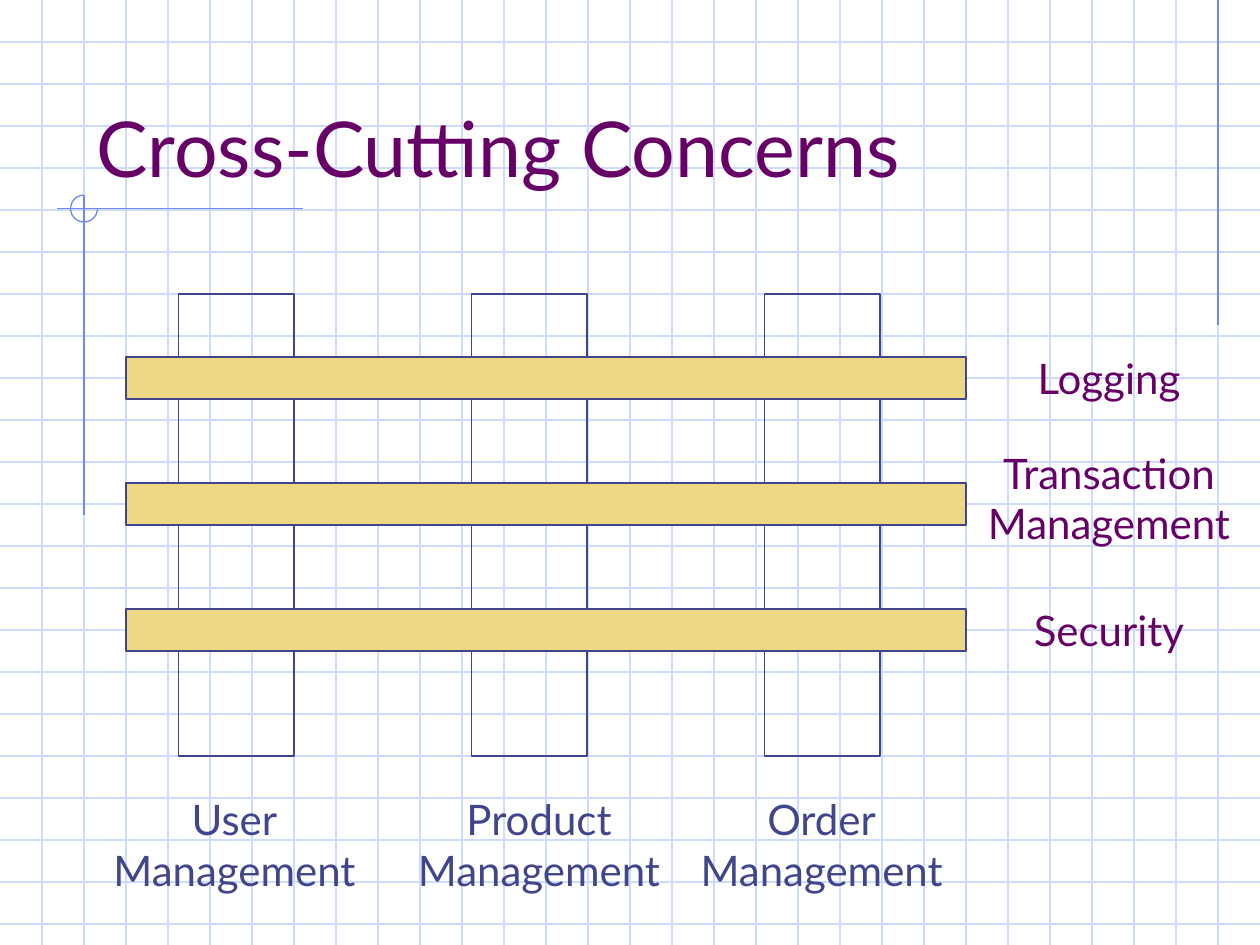
"""Build the slide on cross-cutting concerns."""
from pptx import Presentation as Deck
from pptx.dml.color import RGBColor as RGB
from pptx.enum.shapes import MSO_CONNECTOR as Link, MSO_SHAPE as Kind
from pptx.enum.text import MSO_ANCHOR as Anchor, MSO_AUTO_SIZE as Fit, PP_ALIGN as Align
from pptx.oxml.ns import qn
from pptx.util import Pt
from lxml.etree import SubElement as Sub

PALE = RGB(0xCF, 0xDB, 0xFD)
BLUE = RGB(0x6F, 0x89, 0xF7)
NAVY = RGB(0x40, 0x45, 0x8C)
PLUM = RGB(0x66, 0x00, 0x66)
GOLD = RGB(0xEC, 0xD8, 0x82)
WIDE, HIGH, STEP = 720, 540, 24


class Page:
    font = "Lato"
    thin = 0.75
    label = {"word_wrap": False, "auto_size": Fit.SHAPE_TO_FIT_TEXT}
    head = {"word_wrap": True, "auto_size": Fit.NONE, "vertical_anchor": Anchor.BOTTOM}

    def __init__(self, slide):
        self.slide = slide
        self.shapes = slide.shapes

    def apply(self, item, form):
        for name, value in form.items():
            setattr(item, name, value)

    def stroke(self, shape, color):
        shape.line.color.rgb = color
        shape.line.width = Pt(self.thin)

    def letter(self, frame, text, size, color, align):
        frame.text = text
        for para in frame.paragraphs:
            para.alignment = align
            for run in para.runs:
                self.apply(run.font, {"name": self.font, "size": Pt(size)})
                run.font.color.rgb = color

    def title(self, text, left, top, width, height):
        shape = self.shapes.title
        box = {"left": left, "top": top, "width": width, "height": height}
        self.apply(shape, {name: Pt(value) for name, value in box.items()})
        self.apply(shape.text_frame, self.head)
        self.letter(shape.text_frame, text, 44, PLUM, Align.LEFT)
        shape.element.getparent().append(shape.element)

    def line(self, color, *ends):
        link = self.shapes.add_connector(Link.STRAIGHT, *map(Pt, ends))
        self.stroke(link, color)
        Sub(link.element.spPr, qn("a:effectLst"))

    def shape(self, kind, color, *box, fill=None):
        shape = self.shapes.add_shape(kind, *map(Pt, box))
        shape.shadow.inherit = False
        if fill is None:
            shape.fill.background()
        else:
            shape.fill.solid()
            shape.fill.fore_color.rgb = fill
        self.stroke(shape, color)
        return shape

    def text(self, text, color, mid, top, width):
        height = 36 if "\n" not in text else 65
        box = self.shapes.add_textbox(*map(Pt, (mid - width / 2, top, width, height)))
        self.apply(box.text_frame, self.label)
        self.letter(box.text_frame, text, 24, color, Align.CENTER)


def main():
    deck = Deck()
    deck.slide_width, deck.slide_height = Pt(WIDE), Pt(HIGH)
    page = Page(deck.slides.add_slide(deck.slide_layouts[5]))

    for y in range(STEP, HIGH, STEP):
        page.line(PALE, 0, y, WIDE, y)
    for x in range(STEP, WIDE, STEP):
        page.line(PALE, x, 0, x, HIGH)
    page.line(BLUE, 696, 0, 696, 186)
    page.line(BLUE, 173, 119.3, 32.5, 119.3)
    page.line(BLUE, 48, 111.5, 48, 294.5)
    arc = page.shape(Kind.ARC, BLUE, 40.3, 111.5, 15.4, 15.4)
    arc.adjustments[0], arc.adjustments[1] = 0, 162

    page.title("Cross-Cutting Concerns", 48, 24, 612, 90)

    areas = [("User", 134), ("Product", 308), ("Order", 469.5)]
    for i, (name, mid) in enumerate(areas):
        page.shape(Kind.RECTANGLE, NAVY, 102 + 167.5 * i, 168, 66, 264)
        page.text(f"{name}\nManagement", NAVY, mid, 450, 165.6)

    cares = [("Logging", 198, 106.6), ("Transaction\nManagement", 252, 165.6),
             ("Security", 342, 104.4)]
    for i, (name, top, width) in enumerate(cares):
        page.shape(Kind.RECTANGLE, NAVY, 72, 204 + 72 * i, 480, 24, fill=GOLD)
        page.text(name, PLUM, 633.7, top, width)

    deck.save("out.pptx")


if __name__ == "__main__":
    main()
